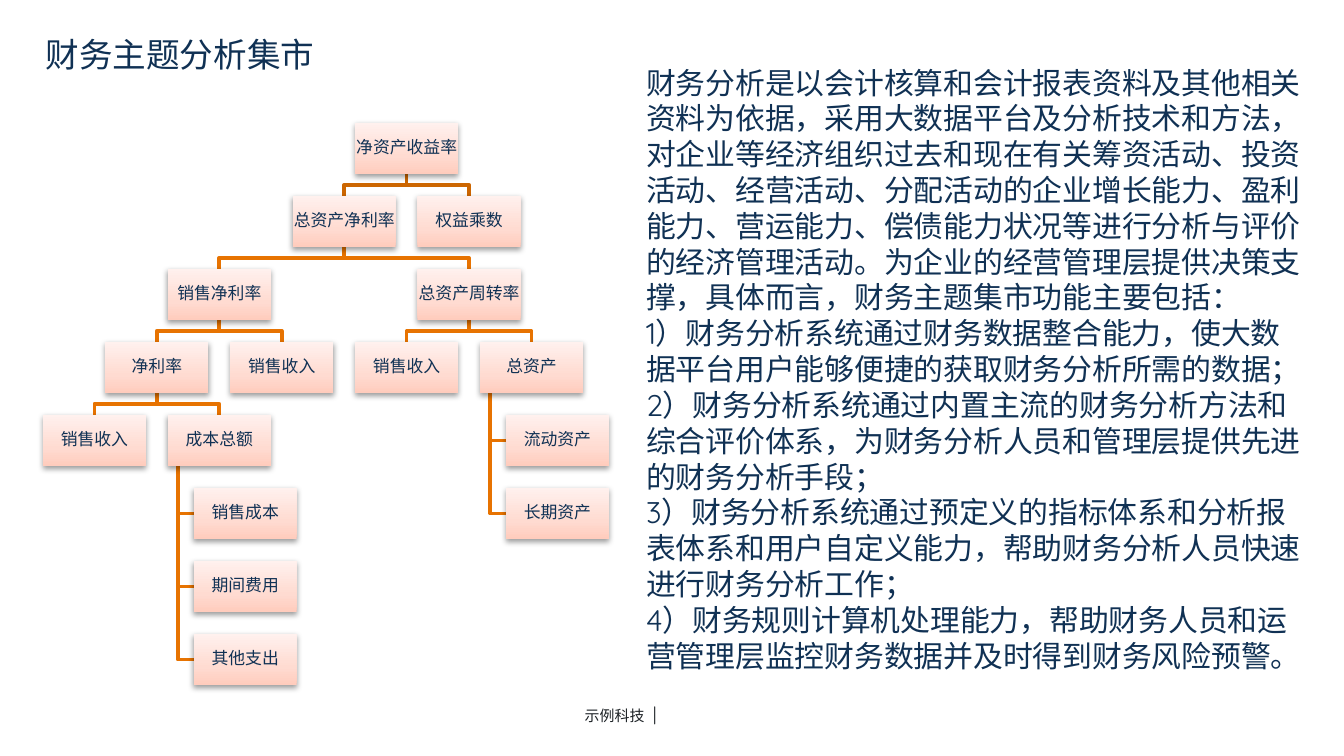
from dataclasses import dataclass, field

from pptx import Presentation
from pptx.dml.color import RGBColor
from pptx.enum.shapes import MSO_SHAPE
from pptx.enum.text import MSO_ANCHOR, PP_ALIGN
from pptx.oxml import parse_xml
from pptx.oxml.ns import nsdecls, qn
from pptx.util import Cm, Pt

NAVY = RGBColor(0x10, 0x31, 0x54)
CHARCOAL = RGBColor(0x1E, 0x23, 0x27)
ORANGE = RGBColor(0xE7, 0x73, 0x01)
DARK_ORANGE = RGBColor(0xCC, 0x66, 0x01)
PEACH = RGBColor(0xFF, 0xCC, 0xBD)
LIGHT_PEACH = RGBColor(0xFF, 0xDB, 0xD1)
PALE_PEACH = RGBColor(0xFF, 0xF1, 0xEE)

# Grid of the indicator tree, in centimetres
TREE_LEFT, TREE_TOP = 0.81, 2.32
COLUMN_STEP, ROW_STEP = 1.18, 1.38
BOX_WIDTH, BOX_HEIGHT = 1.95, 0.97
HANGING_INDENT, SPINE_INSET = 0.49, 0.19

BODY = [
    "财务分析是以会计核算和会计报表资料及其他相关资料为依据，采用大数据平台及分析技术和方法，"
    "对企业等经济组织过去和现在有关筹资活动、投资活动、经营活动、分配活动的企业增长能力、盈利能力、"
    "营运能力、偿债能力状况等进行分析与评价的经济管理活动。为企业的经营管理层提供决策支撑，"
    "具体而言，财务主题集市功能主要包括：",
    "1）财务分析系统通过财务数据整合能力，使大数据平台用户能够便捷的获取财务分析所需的数据；",
    "2）财务分析系统通过内置主流的财务分析方法和综合评价体系，为财务分析人员和管理层提供先进的财务分析手段；",
    "3）财务分析系统通过预定义的指标体系和分析报表体系和用户自定义能力，帮助财务分析人员快速进行财务分析工作；",
    "4）财务规则计算机处理能力，帮助财务人员和运营管理层监控财务数据并及时得到财务风险预警。",
]


@dataclass
class Indicator:
    """A box of the tree; hanging names are listed below it on a spine."""
    label: str
    column: int
    children: list = field(default_factory=list)
    hanging: list = field(default_factory=list)


INDICATORS = Indicator("净资产收益率", 5, [
    Indicator("总资产净利率", 4, [
        Indicator("销售净利率", 2, [
            Indicator("净利率", 1, [
                Indicator("销售收入", 0),
                Indicator("成本总额", 2, hanging=["销售成本", "期间费用", "其他支出"]),
            ]),
            Indicator("销售收入", 3),
        ]),
        Indicator("总资产周转率", 6, [
            Indicator("销售收入", 5),
            Indicator("总资产", 7, hanging=["流动资产", "长期资产"]),
        ]),
    ]),
    Indicator("权益乘数", 6),
])


def write_run(paragraph, text, *, size, color=NAVY, font="Quicksand"):
    run = paragraph.add_run()
    run.text = text
    run.font.size = Pt(size)
    run.font.name = font
    run.font.color.rgb = color
    east_asian = run.font._element.makeelement(qn("a:ea"), {"typeface": font})
    run.font._element.find(qn("a:latin")).addnext(east_asian)


class SlideBuilder:
    def __init__(self, slide, line_width=2, box_size=9):
        self.slide = slide
        self.line_width = line_width
        self.box_size = box_size

    def text(self, left, top, width, height, paragraphs, line_spacing=None):
        """Each paragraph is a list of (text, format) pairs."""
        shape = self.slide.shapes.add_textbox(Cm(left), Cm(top), Cm(width), Cm(height))
        frame = shape.text_frame
        frame.word_wrap = True
        for index, runs in enumerate(paragraphs):
            paragraph = frame.add_paragraph() if index else frame.paragraphs[0]
            paragraph.line_spacing = line_spacing
            for text, style in runs:
                write_run(paragraph, text, **style)

    def branch(self, points, color=ORANGE):
        points = [(Cm(x), Cm(y)) for x, y in points]
        builder = self.slide.shapes.build_freeform(*points[0])
        builder.add_line_segments(points[1:], close=False)
        shape = builder.convert_to_shape()
        shape.shadow.inherit = False
        shape.fill.background()
        shape.line.color.rgb = color
        shape.line.width = Pt(self.line_width)

    def box(self, left, top, label):
        shape = self.slide.shapes.add_shape(
            MSO_SHAPE.RECTANGLE, Cm(left), Cm(top), Cm(BOX_WIDTH), Cm(BOX_HEIGHT))
        shape.line.fill.background()
        shape.shadow.inherit = False
        properties = shape._element.spPr
        # Three-stop gradient rising from the bottom edge
        stops = "".join(
            f'<a:gs pos="{position * 1000}"><a:srgbClr val="{color}"/></a:gs>'
            for position, color in ((0, PEACH), (35, LIGHT_PEACH), (100, PALE_PEACH)))
        properties.find(qn("a:prstGeom")).addnext(parse_xml(
            f'<a:gradFill {nsdecls("a")} rotWithShape="1"><a:gsLst>{stops}</a:gsLst>'
            '<a:lin ang="16200000" scaled="1"/></a:gradFill>'))
        # Soft shadow below the box
        properties.find(qn("a:effectLst")).append(parse_xml(
            f'<a:outerShdw {nsdecls("a")} blurRad="{Pt(3.1)}" dist="{Pt(1.6)}" '
            'dir="5400000" rotWithShape="0"><a:srgbClr val="000000">'
            '<a:alpha val="38000"/></a:srgbClr></a:outerShdw>'))
        frame = shape.text_frame
        frame.word_wrap = False
        frame.vertical_anchor = MSO_ANCHOR.MIDDLE
        frame.margin_left = frame.margin_right = Cm(0.02)
        frame.margin_top = frame.margin_bottom = Cm(0.02)
        paragraph = frame.paragraphs[0]
        paragraph.alignment = PP_ALIGN.CENTER
        paragraph.line_spacing = 0.9
        write_run(paragraph, label, size=self.box_size)

    def tree_branches(self, node, row=0):
        left, top = grid_position(node.column, row)
        center, bottom = left + BOX_WIDTH / 2, top + BOX_HEIGHT
        next_top = top + ROW_STEP
        middle = (bottom + next_top) / 2
        for child in node.children:
            child_center = grid_position(child.column, row + 1)[0] + BOX_WIDTH / 2
            self.branch([(center, bottom), (center, middle),
                         (child_center, middle), (child_center, next_top)],
                        color=ORANGE if row else DARK_ORANGE)
            self.tree_branches(child, row + 1)
        spine = left + SPINE_INSET
        for step in range(1, len(node.hanging) + 1):
            level = top + step * ROW_STEP + BOX_HEIGHT / 2
            self.branch([(spine, bottom), (spine, level), (left + HANGING_INDENT, level)])

    def tree_boxes(self, node, row=0):
        left, top = grid_position(node.column, row)
        self.box(left, top, node.label)
        for child in node.children:
            self.tree_boxes(child, row + 1)
        for step, label in enumerate(node.hanging, start=1):
            self.box(left + HANGING_INDENT, top + step * ROW_STEP, label)


def grid_position(column, row):
    return TREE_LEFT + column * COLUMN_STEP, TREE_TOP + row * ROW_STEP


def main():
    presentation = Presentation()
    presentation.slide_width, presentation.slide_height = Cm(25.4), Cm(14.29)
    builder = SlideBuilder(presentation.slides.add_slide(presentation.slide_layouts[6]))

    # Footer
    builder.text(10.8, 13.03, 4.19, 0.81, [[
        ("示例科技  ", {"size": 8, "color": CHARCOAL}),
        ("|", {"size": 10, "color": CHARCOAL})]], line_spacing=1.3)

    # Title
    builder.text(0.61, 0.51, 16.94, 1.02, [[("财务主题分析集市", {"size": 18})]])

    # Indicator tree, with the branches behind the boxes
    builder.tree_branches(INDICATORS)
    builder.tree_boxes(INDICATORS)

    # Explanation
    builder.text(11.96, 1.09, 12.98, 11.89, [[(text, {"size": 16})] for text in BODY])

    presentation.save("out.pptx")


if __name__ == "__main__":
    main()
